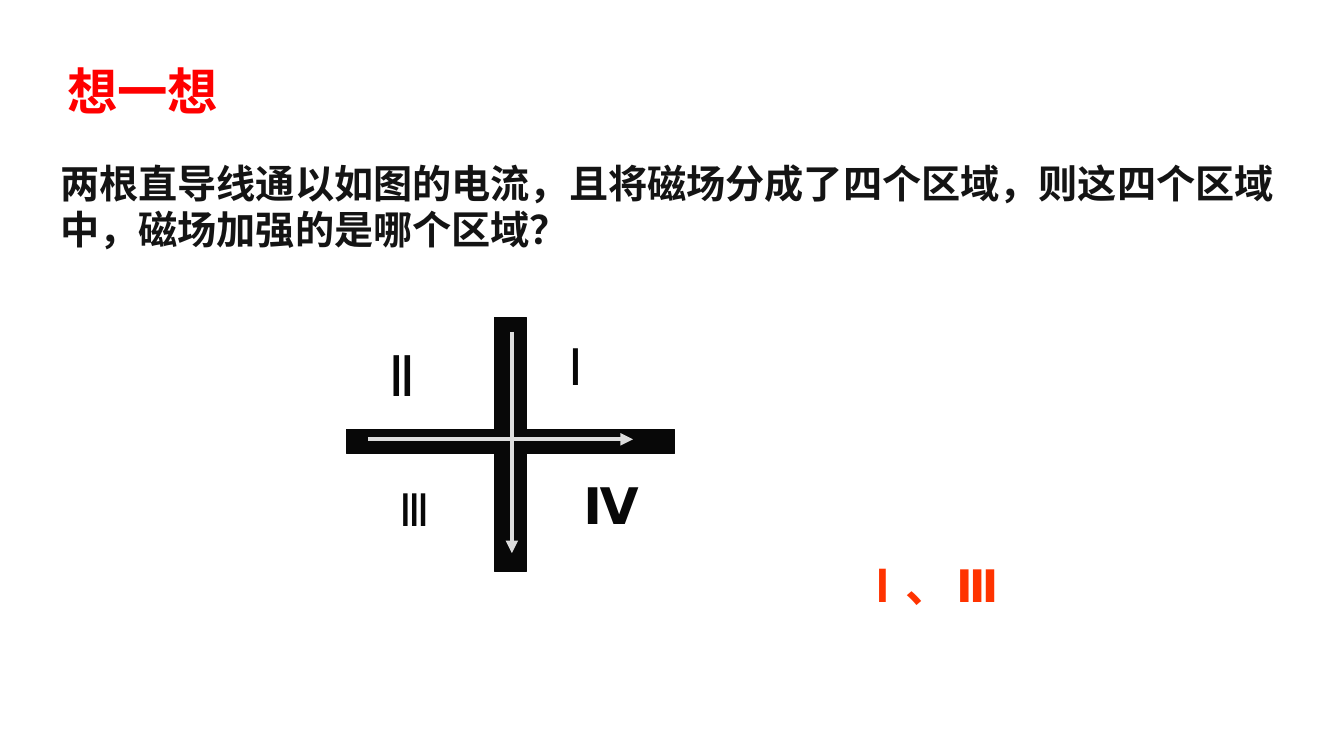
import pptx
import pptx.dml.color
import pptx.enum.shapes
import pptx.enum.text
import pptx.oxml.ns
import pptx.util
from lxml import etree
from pptx.util import Cm, Pt

BLACK, GREY, RED, ORANGE = "080808", "DDDDDD", "FF0000", "FF3300"
CJK, SYMBOL = "Noto Sans CJK SC", "DejaVu Sans"
CENTER = pptx.enum.text.PP_ALIGN.CENTER


def rgb(value):
    return pptx.dml.color.RGBColor.from_string(value)


def set_all(obj, values):
    for name, value in values.items():
        setattr(obj, name, value)


def add_run(p, text, size, color, font, bold=False, east_asian=None):
    """Add a run; east_asian names the font of CJK characters if it differs."""
    r = p.add_run()
    r.text = text
    set_all(r.font, {"size": Pt(size), "name": font, "bold": bold})
    r.font.color.rgb = rgb(color)
    ea = etree.SubElement(r.font._element, pptx.oxml.ns.qn("a:ea"))
    ea.set("typeface", east_asian or font)


def add_text(s, box, runs, wrap=False, frame=None, paragraph=None):
    """Add a one-paragraph text box; each run is the arguments of add_run."""
    tf = s.shapes.add_textbox(*map(Cm, box)).text_frame
    set_all(tf, {"word_wrap": wrap, **(frame or {})})
    p = tf.paragraphs[0]
    set_all(p, paragraph or {})
    for run in runs:
        add_run(p, *run)


def add_wire(s, box):
    sp = s.shapes.add_shape(pptx.enum.shapes.MSO_SHAPE.RECTANGLE, *map(Cm, box))
    sp.shadow.inherit = False
    sp.fill.solid()
    sp.fill.fore_color.rgb = rgb(BLACK)
    sp.line.color.rgb = rgb(BLACK)
    sp.line.width = Pt(0.75)


def add_current_arrow(s, ends):
    line = s.shapes.add_connector(
        pptx.enum.shapes.MSO_CONNECTOR.STRAIGHT, *map(Cm, ends))
    line.line.color.rgb = rgb(GREY)
    line.line.width = Pt(3)
    qn = pptx.oxml.ns.qn
    etree.SubElement(line.line._get_or_add_ln(), qn("a:tailEnd"), type="triangle")
    etree.SubElement(line._element.spPr, qn("a:effectLst"))


def main():
    prs = pptx.Presentation()
    set_all(prs, {"slide_width": Cm(33.87), "slide_height": Cm(19.05)})
    s = prs.slides.add_slide(prs.slide_layouts[6])

    add_text(s, (1.27, 3.76, 31.75, 3.3),
             [("两根直导线通以如图的电流，且将磁场分成了四个区域，则这四个区域中，磁场加强的是哪个区域？",
               28, "141414", CJK, True)],
             wrap=True, frame={"margin_top": Cm(0.28)},
             paragraph={"line_spacing": Pt(33)})

    for box in ((12.47, 8, 0.79, 6.4), (8.74, 10.82, 8.26, 0.61)):
        add_wire(s, box)
    for ends in ((12.9, 8.36, 12.9, 13.94), (9.27, 11.07, 15.95, 11.07)):
        add_current_arrow(s, ends)

    regions = (
        ("Ⅱ", (9.55, 8.46, 2.67, 1.96), 40, False),
        ("Ⅰ", (14.07, 8.31, 1.8, 1.8), 36, False),
        ("Ⅳ", (14.45, 11.81, 1.8, 1.8), 36, True),
        ("Ⅲ", (9.8, 12.01, 1.65, 1.63), 32, False),
    )
    for numeral, box, size, bold in regions:
        add_text(s, box, [(numeral, size, BLACK, SYMBOL, bold)])

    add_text(s, (21.44, 13.94, 4.11, 1.63),
             [("Ⅰ、", 32, ORANGE, "Arial", True, CJK),
              (" ", 18, ORANGE, "Arial", True, CJK),
              ("Ⅲ", 32, ORANGE, SYMBOL, True)])
    add_text(s, (0.66, 1.3, 5.87, 1.22),
             [("想一想", 36, RED, "Arial", True, CJK)], wrap=True,
             paragraph={"alignment": CENTER, "line_spacing": Pt(46)})

    prs.save("out.pptx")


if __name__ == "__main__":
    main()
